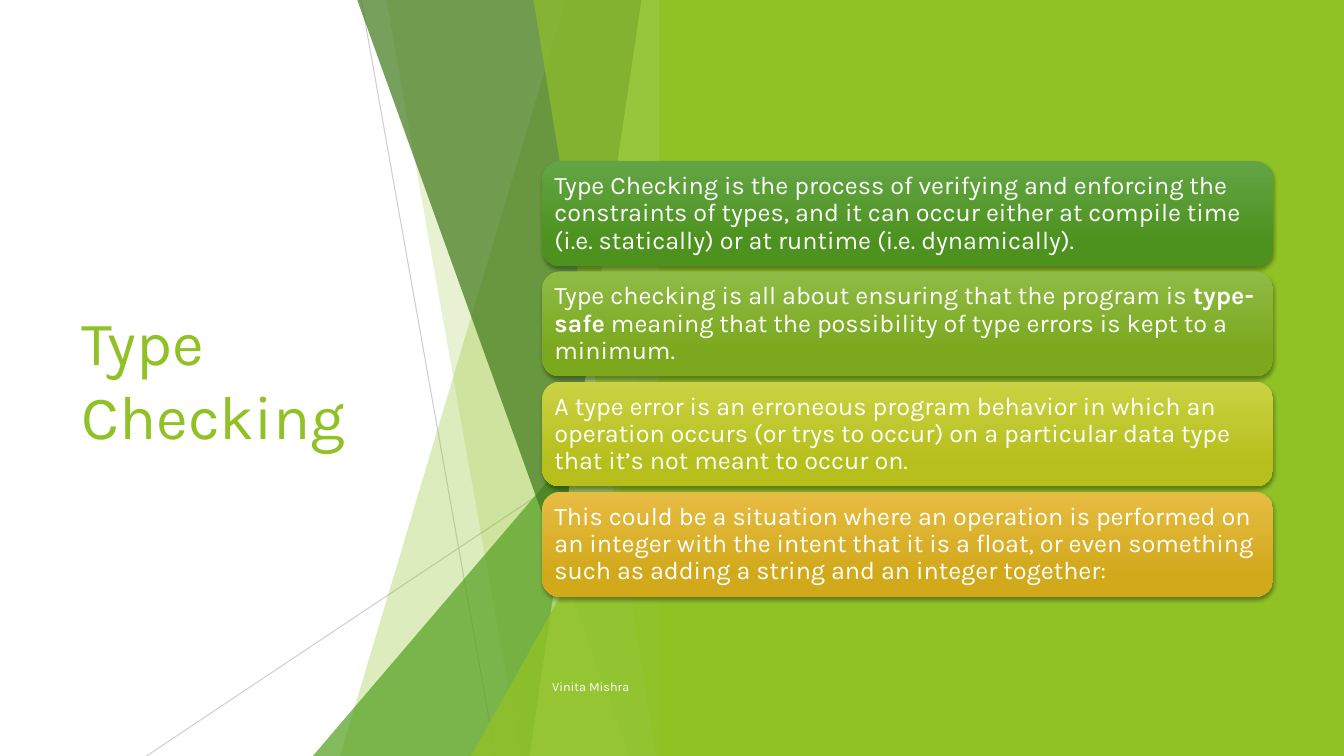
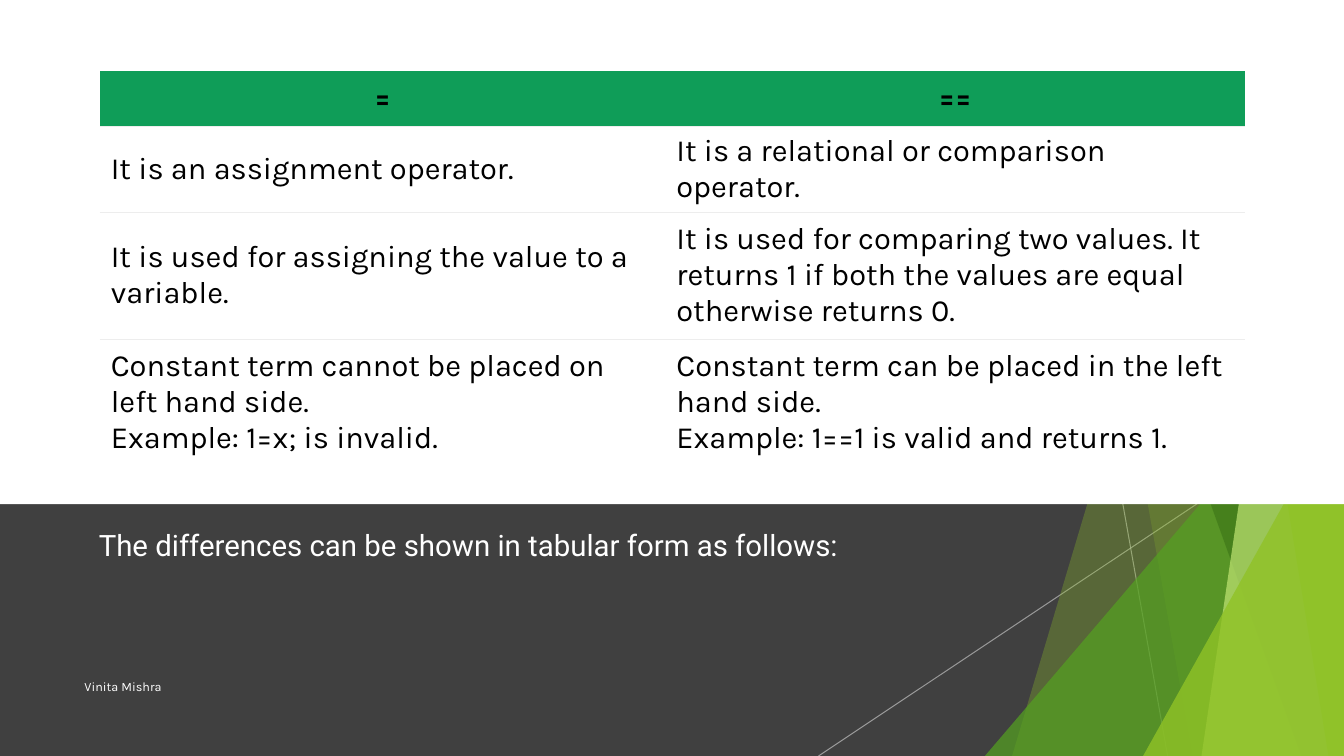
from dataclasses import dataclass

import lxml.etree
import pptx
import pptx.dml.color
import pptx.enum.shapes
import pptx.enum.text
import pptx.oxml.ns
import pptx.presentation
import pptx.shapes.autoshape
import pptx.shapes.base
import pptx.slide
import pptx.text.text
import pptx.util

qn = pptx.oxml.ns.qn
SHAPE = pptx.enum.shapes.MSO_SHAPE
ANCHOR = pptx.enum.text.MSO_ANCHOR
ALIGN = pptx.enum.text.PP_ALIGN

SLIDE_WIDTH = pptx.util.Inches(13.333)
SLIDE_HEIGHT = pptx.util.Inches(7.5)
TITLE_ONLY_LAYOUT = 5
PLAIN_TABLE_STYLE = "{2D5ABB26-0587-4C30-8999-92F81FD0307C}"


@dataclass(frozen=True)
class Theme:
    font: str = "Karla"
    caption_font: str = "Roboto"
    lime: str = "90C226"
    green: str = "54A021"
    forest: str = "3F7819"
    pale: str = "C0E474"
    white: str = "FFFFFF"
    black: str = "000000"
    charcoal: str = "404040"
    hairline: str = "BFBFBF"
    header: str = "0F9D58"
    rule: str = "EDEDED"
    title_size: float = 44
    caption_size: float = 21
    table_size: float = 22
    card_size: float = 18
    footer_size: float = 9


THEME = Theme()


# Places are percentages of the slide's width and height
@dataclass(frozen=True)
class Box:
    left: float
    top: float
    width: float
    height: float

    def lengths(self) -> tuple[int, int, int, int]:
        return across(self.left), down(self.top), across(self.width), down(self.height)


@dataclass(frozen=True)
class Wedge:
    """Full-height facet that ends at the right edge."""
    top_left: float
    bottom_left: float
    color: str
    opacity: int


@dataclass(frozen=True)
class Corner:
    """Right triangle in the bottom right corner."""
    left: float
    top: float
    color: str
    opacity: int


@dataclass(frozen=True)
class Card:
    runs: tuple[str, ...]  # every second run is bold
    light: str
    dark: str


FACET_LINES = ((76.88, 0, 86.88, 100), (100, 53.7, 60.9, 100))
FACETS = (
    Wedge(92.1, 75.3, THEME.lime, 30),
    Wedge(78.75, 88.73, THEME.lime, 20),
    Corner(73.28, 44.4, THEME.green, 72),
    Wedge(76.58, 96.83, THEME.forest, 70),
    Wedge(97.73, 89.4, THEME.pale, 70),
    Wedge(89.7, 98.85, THEME.lime, 65),
    Corner(85.05, 52.4, THEME.lime, 80),
)

CARDS = (
    Card(("Type Checking is the process of verifying and enforcing the constraints of types, "
          "and it can occur either at compile time (i.e. statically) or at runtime "
          "(i.e. dynamically).",), "63A545", "4D921E"),
    Card(("Type checking is all about ensuring that the program is ", "type-safe",
          " meaning that the possibility of type errors is kept to a minimum."),
         "8EBB44", "7BA81D"),
    Card(("A type error is an erroneous program behavior in which an operation occurs "
          "(or trys to occur) on a particular data type that it’s not meant to occur on.",),
         "CAD243", "B6BF1B"),
    Card(("This could be a situation where an operation is performed on an integer with the "
          "intent that it is a float, or even something such as adding a string and an "
          "integer together:",), "E7BC43", "D2A91B"),
)
FIRST_CARD = Box(40.35, 21.33, 54.38, 13.87)
CARD_PITCH = 14.58

TABLE_LEFT, TABLE_TOP = 7.43, 9.33
TABLE_COLUMNS = (42.08, 43.13)
TABLE_ROWS = (7.33, 11.07, 16.8, 16.8)
OPERATORS = (
    ("=", "=="),
    ("It is an assignment operator.", "It is a relational or comparison operator."),
    ("It is used for assigning the value to a variable.",
     "It is used for comparing two values. It returns 1 if both the values are equal "
     "otherwise returns 0."),
    ("Constant term cannot be placed on left hand side.\nExample: 1=x; is invalid.",
     "Constant term can be placed in the left hand side.\n"
     "Example: 1==1 is valid and returns 1."),
)


def across(percent: float) -> int:
    return round(SLIDE_WIDTH * percent / 100)


def down(percent: float) -> int:
    return round(SLIDE_HEIGHT * percent / 100)


def rgb(color: str) -> pptx.dml.color.RGBColor:
    return pptx.dml.color.RGBColor.from_string(color)


# Formatting helpers
def set_opacity(element: lxml.etree._Element, percent: int) -> None:
    for color in element.iter(qn("a:srgbClr")):
        lxml.etree.SubElement(color, qn("a:alpha"), val=str(percent * 1000))


def fill_shape(shape: pptx.shapes.autoshape.Shape, color: str, opacity: int = 100) -> None:
    shape.shadow.inherit = False
    shape.fill.solid()
    shape.fill.fore_color.rgb = rgb(color)
    shape.line.fill.background()
    if opacity < 100:
        set_opacity(shape.element.spPr, opacity)


def format_runs(text_frame: pptx.text.text.TextFrame, size: float, color: str,
                font: str = THEME.font) -> None:
    for paragraph in text_frame.paragraphs:
        for run in paragraph.runs:
            run.font.name = font
            run.font.size = pptx.util.Pt(size)
            run.font.color.rgb = rgb(color)


# Parts that both slides use
def add_panel(slide: pptx.slide.Slide, box: Box, color: str) -> None:
    fill_shape(slide.shapes.add_shape(SHAPE.RECTANGLE, *box.lengths()), color)


def add_facets(slide: pptx.slide.Slide, shift: float = 0, line_opacity: int = 70) -> None:
    for start_x, start_y, end_x, end_y in FACET_LINES:
        line = slide.shapes.add_connector(
            pptx.enum.shapes.MSO_CONNECTOR.STRAIGHT,
            across(start_x + shift), down(start_y), across(end_x + shift), down(end_y))
        line.line.color.rgb = rgb(THEME.hairline)
        line.line.width = pptx.util.Pt(0.75)
        properties = line.element.spPr
        set_opacity(properties, line_opacity)
        lxml.etree.SubElement(properties, qn("a:effectLst"))
    right = 100 + shift
    for facet in FACETS:
        if isinstance(facet, Corner):
            box = Box(facet.left + shift, facet.top, 100 - facet.left, 100 - facet.top)
            shape = slide.shapes.add_shape(SHAPE.ISOSCELES_TRIANGLE, *box.lengths())
            shape.adjustments[0] = 1
        else:
            outline = slide.shapes.build_freeform(across(facet.top_left + shift), 0)
            outline.add_line_segments([
                (across(right), 0), (across(right), down(100)),
                (across(facet.bottom_left + shift), down(100))])
            shape = outline.convert_to_shape()
        fill_shape(shape, facet.color, facet.opacity)


def set_title(slide: pptx.slide.Slide, text: str, box: Box, size: float, color: str,
              font: str, anchor: ANCHOR, line_spacing: float) -> None:
    title = slide.shapes.title
    title.left, title.top, title.width, title.height = box.lengths()
    frame = title.text_frame
    frame.text = text
    frame.word_wrap = True
    frame.auto_size = pptx.enum.text.MSO_AUTO_SIZE.NONE
    frame.vertical_anchor = anchor
    frame.paragraphs[0].alignment = ALIGN.LEFT
    frame.paragraphs[0].line_spacing = line_spacing
    format_runs(frame, size, color, font)
    title.element.getparent().append(title.element)  # bring to front


def add_footer(slide: pptx.slide.Slide, left: float) -> None:
    frame = slide.shapes.add_textbox(*Box(left, 88.13, 45, 5.33).lengths()).text_frame
    frame.word_wrap = True
    frame.vertical_anchor = ANCHOR.MIDDLE
    frame.text = "Vinita Mishra"
    format_runs(frame, THEME.footer_size, THEME.white)


# Gradient cards
def add_card(slide: pptx.slide.Slide, card: Card, box: Box) -> None:
    shape = slide.shapes.add_shape(SHAPE.ROUNDED_RECTANGLE, *box.lengths())
    shape.line.fill.background()
    shape.fill.gradient()
    shape.fill.gradient_angle = 270
    for stop, color, position in zip(shape.fill.gradient_stops, (card.light, card.dark), (0, 0.78)):
        stop.color.rgb = rgb(color)
        stop.position = position
    shape.shadow.inherit = False
    shadow = lxml.etree.SubElement(
        shape.element.spPr.find(qn("a:effectLst")), qn("a:outerShdw"),
        blurRad=str(pptx.util.Pt(3)), dist=str(pptx.util.Pt(2)), dir="5400000", rotWithShape="0")
    lxml.etree.SubElement(shadow, qn("a:srgbClr"), val=THEME.black)
    set_opacity(shadow, 35)

    frame = shape.text_frame
    frame.word_wrap = True
    frame.vertical_anchor = ANCHOR.MIDDLE
    frame.margin_left = frame.margin_right = pptx.util.Inches(0.07)
    frame.margin_top = frame.margin_bottom = pptx.util.Inches(0.07)
    paragraph = frame.paragraphs[0]
    paragraph.alignment = ALIGN.LEFT
    paragraph.line_spacing = 0.9
    for index, text in enumerate(card.runs):
        run = paragraph.add_run()
        run.text = text
        run.font.bold = index % 2 == 1
    format_runs(frame, THEME.card_size, THEME.white)


# Comparison table
def add_operator_table(slide: pptx.slide.Slide) -> None:
    box = Box(TABLE_LEFT, TABLE_TOP, sum(TABLE_COLUMNS), sum(TABLE_ROWS))
    graphic = slide.shapes.add_table(len(TABLE_ROWS), len(TABLE_COLUMNS), *box.lengths())
    for style in graphic.element.iter(qn("a:tableStyleId")):
        style.text = PLAIN_TABLE_STYLE
    table = graphic.table
    for column, width in zip(table.columns, TABLE_COLUMNS):
        column.width = across(width)
    for row_index, (texts, height) in enumerate(zip(OPERATORS, TABLE_ROWS)):
        table.rows[row_index].height = down(height)
        is_header = row_index == 0
        for cell, text in zip(table.rows[row_index].cells, texts):
            cell.text_frame.text = text
            cell.vertical_anchor = ANCHOR.MIDDLE
            cell.margin_left = cell.margin_right = pptx.util.Inches(0.07 if is_header else 0.11)
            cell.margin_top = cell.margin_bottom = pptx.util.Inches(0.07 if is_header else 0.06)
            cell.fill.solid()
            cell.fill.fore_color.rgb = rgb(THEME.header if is_header else THEME.white)
            format_runs(cell.text_frame, THEME.table_size, THEME.black)
            for paragraph in cell.text_frame.paragraphs:
                paragraph.alignment = ALIGN.CENTER if is_header else ALIGN.LEFT
                for run in paragraph.runs:
                    run.font.bold = is_header
            if row_index < len(TABLE_ROWS) - 1:
                border = lxml.etree.Element(qn("a:lnB"), w=str(pptx.util.Pt(0.5)))
                paint = lxml.etree.SubElement(border, qn("a:solidFill"))
                lxml.etree.SubElement(paint, qn("a:srgbClr"), val=THEME.rule)
                cell.fill._xPr.insert(0, border)


# Slides
def add_slide(presentation: pptx.presentation.Presentation) -> pptx.slide.Slide:
    return presentation.slides.add_slide(presentation.slide_layouts[TITLE_ONLY_LAYOUT])


def build_type_checking(presentation: pptx.presentation.Presentation) -> None:
    slide = add_slide(presentation)
    add_facets(slide, shift=-50, line_opacity=75)
    add_panel(slide, Box(49.05, 0, 50.95, 100), THEME.lime)
    set_title(slide, "Type Checking", Box(5.33, 20.13, 29.1, 59.73), THEME.title_size,
              THEME.lime, THEME.font, ANCHOR.MIDDLE, 1)
    add_footer(slide, 40.35)
    for index, card in enumerate(CARDS):
        top = FIRST_CARD.top + index * CARD_PITCH
        add_card(slide, card, Box(FIRST_CARD.left, top, FIRST_CARD.width, FIRST_CARD.height))


def build_operators(presentation: pptx.presentation.Presentation) -> None:
    slide = add_slide(presentation)
    add_panel(slide, Box(0, 66.67, 100, 33.33), THEME.charcoal)
    add_facets(slide)
    add_panel(slide, Box(0, 0, 100, 66.67), THEME.white)
    set_title(slide, "The differences can be shown in tabular form as follows:",
              Box(6.6, 69.6, 69.45, 19.2), THEME.caption_size, THEME.white,
              THEME.caption_font, ANCHOR.TOP, 0.9)
    add_footer(slide, 5.55)
    add_operator_table(slide)


def main() -> None:
    presentation = pptx.Presentation()
    presentation.slide_width, presentation.slide_height = SLIDE_WIDTH, SLIDE_HEIGHT
    build_type_checking(presentation)
    build_operators(presentation)
    presentation.save("out.pptx")


if __name__ == "__main__":
    main()
